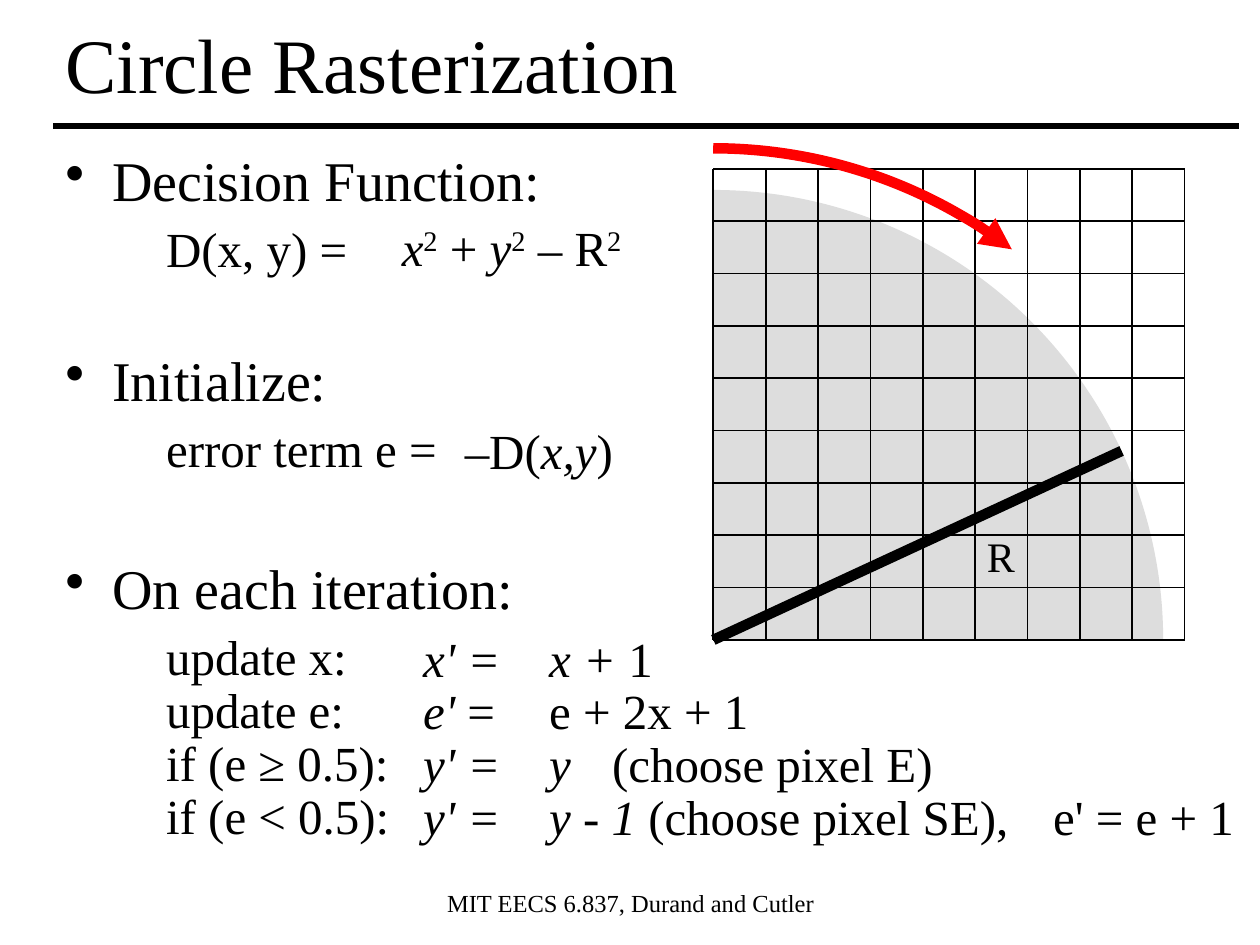
from typing import NamedTuple

from lxml import etree
from pptx import Presentation
from pptx.dml.color import RGBColor
from pptx.enum.shapes import MSO_CONNECTOR, MSO_SHAPE
from pptx.enum.text import MSO_ANCHOR, PP_ALIGN
from pptx.oxml.ns import qn
from pptx.util import Cm, Pt

BLACK = RGBColor(0, 0, 0)
GRAY = RGBColor(0xDD, 0xDD, 0xDD)
RED = RGBColor(0xFF, 0, 0)
FONT = "Times New Roman"
LEFT, CENTER = PP_ALIGN.LEFT, PP_ALIGN.CENTER
TOP, MIDDLE = MSO_ANCHOR.TOP, MSO_ANCHOR.MIDDLE
STRAIGHT = MSO_CONNECTOR.STRAIGHT
PIE, ARC = MSO_SHAPE.PIE, MSO_SHAPE.ARC

# Grid and circle, in cm; the circle centre is the grid's lower left corner
GRID_X, BASE_Y = 14.38, 12.9
SIDE, CELLS = 9.5, 9


class Run(NamedTuple):
    text: str
    italic: bool = False
    sup: bool = False


class Para(NamedTuple):
    runs: list[Run]
    size: float
    before: float = 0
    indent: float = 0
    bullet: bool = False
    spacing: float = 0.9
    align: PP_ALIGN = LEFT
    tabs: tuple[float, ...] = ()


class Box(NamedTuple):
    left: float
    top: float
    width: float
    height: float
    paras: list[Para]
    anchor: MSO_ANCHOR = TOP


def it(text: str) -> Run:
    return Run(text, italic=True)


def head(text: str, before: float = 0) -> Para:
    return Para([Run(text)], 32, before, 0.94, True)


def sub(text: str) -> Para:
    return Para([Run(text)], 28, 6.4, 2.03)


SQUARE = Run("2", sup=True)
BOXES = [
    Box(8.69, 17.78, 8.05, 1.45, [
        Para([Run("MIT EECS 6.837, Durand and Cutler")], 14,
             spacing=1, align=CENTER)]),
    Box(1.07, 0, 23.9, 2.51, [
        Para([Run("Circle Rasterization")], 44, spacing=1)], MIDDLE),
    Box(1.07, 2.97, 23.9, 14.58, [
        head("Decision Function:"),
        sub("D(x, y) ="),
        head("Initialize:", 42.8),
        sub("error term e ="),
        head("On each iteration:", 47.9),
        sub("update x:\nupdate e:\nif (e ≥ 0.5):\nif (e < 0.5):")]),
    Box(8.28, 12.67, 17.12, 4.52, [
        Para([it("x' =\tx + "), Run("1\n"),
              it("e'"), Run(" =\te + 2x + 1\n"),
              it("y' =\ty\t"), Run("(choose pixel E)\n"),
              it("y' =\ty - 1"),
              Run(" (choose pixel SE),\te' = e + 1")],
             28, tabs=(2.05, 2.98, 12.03))]),
    Box(7.85, 4.39, 5.28, 1.32, [
        Para([it("x"), SQUARE, Run(" + "), it("y"), SQUARE,
              Run(" – R"), SQUARE], 28)]),
    Box(9.12, 8.48, 5.28, 1.32, [
        Para([Run("–D("), it("x,y"), Run(")")], 28)]),
]
RADIUS = Box(19.02, 10.57, 2.31, 1.27, [
    Para([Run("R")], 24, spacing=1, align=CENTER)])


def add_run(par, run: Run, size: float) -> None:
    for i, line in enumerate(run.text.split("\n")):
        if i:
            par.add_line_break()
        if not line:
            continue
        part = par.add_run()
        part.text = line
        font = part.font
        font.name, font.size, font.italic = FONT, Pt(size), run.italic
        font.color.rgb = BLACK
        if run.sup:
            font._element.set("baseline", "30000")


def add_para(par, para: Para) -> None:
    par.alignment = para.align
    par.line_spacing = para.spacing
    par.space_before = Pt(para.before)
    props = par._p.get_or_add_pPr()
    props.set("marL", str(Cm(para.indent)))
    props.set("indent", str(Cm(-para.indent if para.bullet else 0)))
    if para.bullet:
        etree.SubElement(props, qn("a:buChar"), char="•")
    else:
        etree.SubElement(props, qn("a:buNone"))
    if para.tabs:
        stops = etree.SubElement(props, qn("a:tabLst"))
        for pos in para.tabs:
            etree.SubElement(stops, qn("a:tab"), pos=str(Cm(pos)), algn="l")
    for run in para.runs:
        add_run(par, run, para.size)


def add_box(slide, box: Box) -> None:
    frame = slide.shapes.add_textbox(
        Cm(box.left), Cm(box.top), Cm(box.width), Cm(box.height)).text_frame
    frame.word_wrap = True
    frame.vertical_anchor = box.anchor
    for i, para in enumerate(box.paras):
        add_para(frame.add_paragraph() if i else frame.paragraphs[0], para)


def add_line(slide, x1: float, y1: float, x2: float, y2: float,
             width: float) -> None:
    line = slide.shapes.add_connector(
        STRAIGHT, Cm(x1), Cm(y1), Cm(x2), Cm(y2))
    line.line.color.rgb = BLACK
    line.line.width = Pt(width)
    etree.SubElement(line._element.spPr, qn("a:effectLst"))


def add_round(slide, kind: MSO_SHAPE, radius: float, end: float):
    """Add a pie or arc about the grid corner, from the top to end degrees."""
    shape = slide.shapes.add_shape(
        kind, Cm(GRID_X - radius), Cm(BASE_Y - radius),
        Cm(2 * radius), Cm(2 * radius))
    shape.shadow.inherit = False
    for i, angle in enumerate((270, end)):
        shape.adjustments[i] = angle * 0.6  # 60000 units a degree, over 100000
    return shape


def add_grid(slide) -> None:
    for i in range(CELLS + 1):
        step = i * SIDE / CELLS
        x, y = GRID_X + step, BASE_Y - step
        add_line(slide, x, BASE_Y - SIDE, x, BASE_Y, 1)
        add_line(slide, GRID_X, y, GRID_X + SIDE, y, 1)


def main() -> None:
    deck = Presentation()
    deck.slide_width, deck.slide_height = Cm(25.4), Cm(19.05)
    slide = deck.slides.add_slide(deck.slide_layouts[6])
    add_line(slide, 1.07, 2.54, 24.97, 2.54, 3)
    for box in BOXES:
        add_box(slide, box)

    disc = add_round(slide, PIE, 9.07, 0)
    disc.fill.solid()
    disc.fill.fore_color.rgb = GRAY
    disc.line.fill.background()
    add_grid(slide)
    add_line(slide, GRID_X, BASE_Y, 22.61, 9.09, 6)
    add_box(slide, RADIUS)

    sweep = add_round(slide, ARC, 9.91, 307.4)
    sweep.fill.background()
    sweep.line.color.rgb = RED
    sweep.line.width = Pt(6)
    etree.SubElement(sweep.line._get_or_add_ln(), qn("a:tailEnd"),
                     type="triangle")
    deck.save("out.pptx")


if __name__ == "__main__":
    main()
